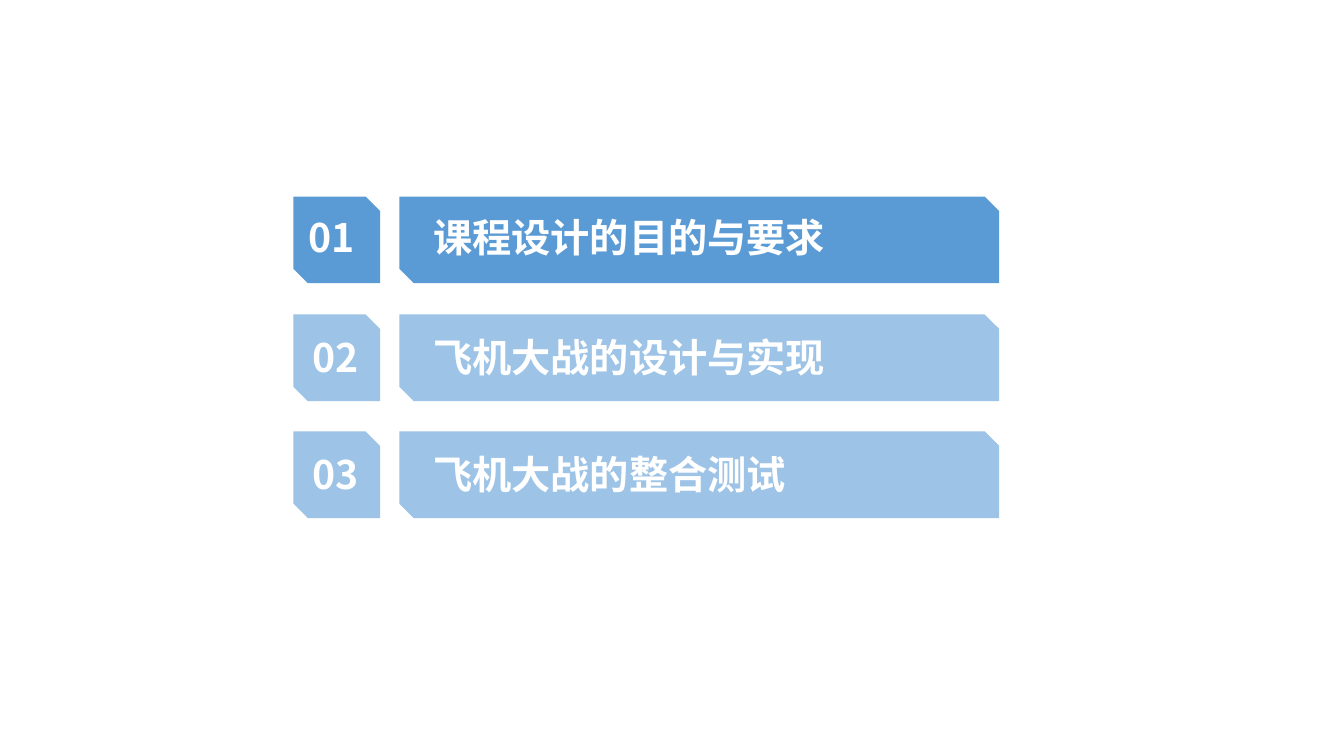
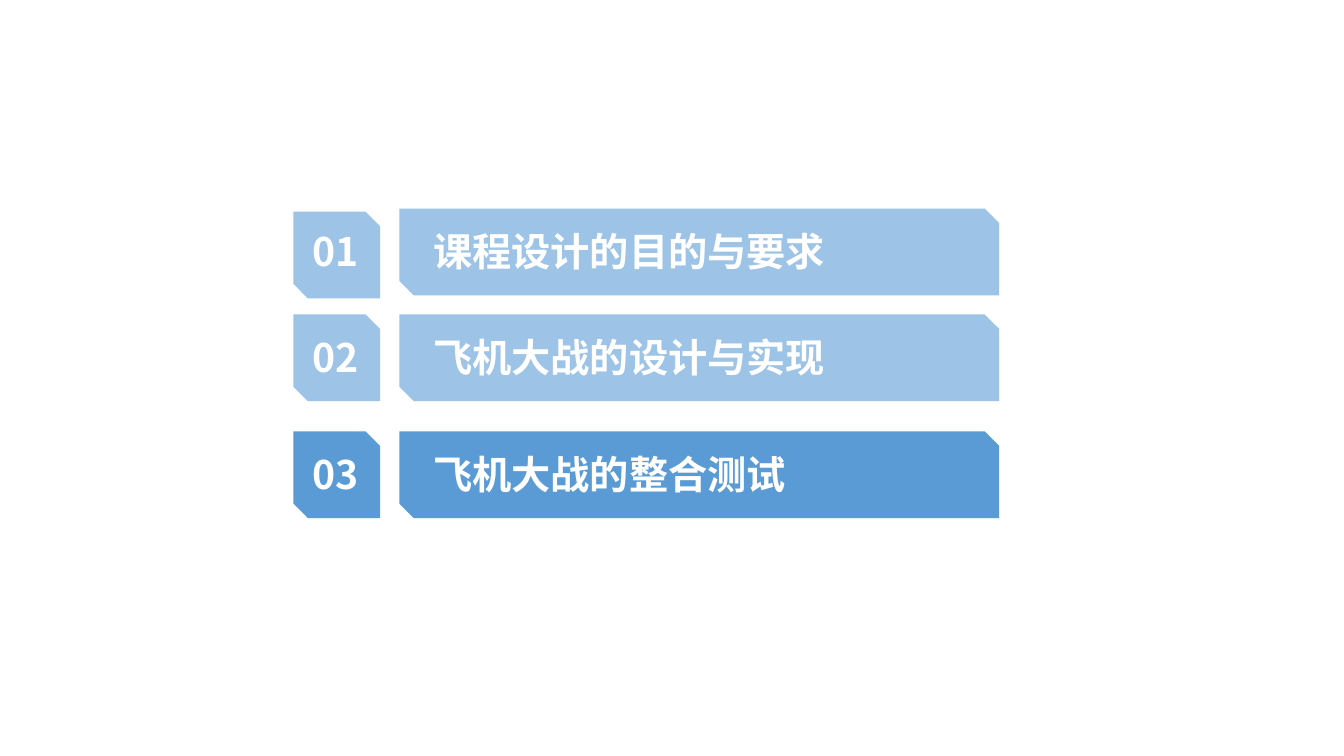
"""Build two agenda slides, each highlighting the current chapter."""
from dataclasses import dataclass, replace

from lxml import etree
from pptx import Presentation
from pptx import util as u
from pptx.dml.color import RGBColor
from pptx.enum import shapes, text
from pptx.oxml.ns import qn

PX = 9144
SLIDE_WIDTH, SLIDE_HEIGHT = 1333, 750
FONT = "Noto Sans CJK SC"
ACTIVE = RGBColor(0x5B, 0x9B, 0xD5)
INACTIVE = RGBColor(0x9D, 0xC3, 0xE6)
WHITE = RGBColor(0xFF, 0xFF, 0xFF)

BADGE_LEFT, BAR_LEFT, TITLE_LEFT = 291, 396, 420
ROW_HEIGHT, BAR_WIDTH = 86, 595
NUMBER_WIDTH, TEXT_HEIGHT = 68, 57
CHARACTER_WIDTH, TEXT_MARGINS = 39, 19


@dataclass(frozen=True)
class Row:
    """A chapter title and the places of its parts."""

    title: str
    badge_top: int
    bar_top: int
    text_top: int
    number_left: int = 300


FIRST = Row("课程设计的目的与要求", 210, 207, 221)
FIRST_ACTIVE = replace(FIRST, badge_top=195, bar_top=195, text_top=207, number_left=296)
SECOND = Row("飞机大战的设计与实现", 312, 312, 326)
THIRD = Row("飞机大战的整合测试", 428, 428, 442)


def px(*lengths):
    """Turn px lengths into EMU."""
    return [u.Emu(length * PX) for length in lengths]


def add_panel(slide, left, top, width, color):
    """Add a flat panel with two snipped corners."""
    shape = slide.shapes.add_shape(
        shapes.MSO_SHAPE.SNIP_2_DIAG_RECTANGLE, *px(left, top, width, ROW_HEIGHT))
    shape.shadow.inherit = False
    shape.fill.solid()
    shape.fill.fore_color.rgb = color
    shape.line.fill.background()


def add_text(slide, content, left, top, width, size=28, color=WHITE, bold=True):
    """Add one line of text in a box that fits it."""
    shape = slide.shapes.add_textbox(*px(left, top, width, TEXT_HEIGHT))
    frame = shape.text_frame
    frame.word_wrap = False
    frame.auto_size = text.MSO_AUTO_SIZE.SHAPE_TO_FIT_TEXT
    run = frame.paragraphs[0].add_run()
    run.text = content
    font = run.font
    font.name, font.size, font.bold = FONT, u.Pt(size), bold
    font.color.rgb = color
    properties = run._r.get_or_add_rPr()
    etree.SubElement(properties, qn("a:ea"), typeface=FONT)


def add_row(slide, number, row, color):
    """Add a numbered badge and its chapter bar."""
    add_panel(slide, BADGE_LEFT, row.badge_top, ROW_HEIGHT, color)
    add_panel(slide, BAR_LEFT, row.bar_top, BAR_WIDTH, color)
    add_text(slide, f"{number:02}", row.number_left, row.text_top, NUMBER_WIDTH)
    title_width = len(row.title) * CHARACTER_WIDTH + TEXT_MARGINS
    add_text(slide, row.title, TITLE_LEFT, row.text_top, title_width)


def add_agenda(presentation, rows, current):
    """Add an agenda slide with the current chapter highlighted."""
    slide = presentation.slides.add_slide(presentation.slide_layouts.get_by_name("Blank"))
    for number, row in enumerate(rows, start=1):
        add_row(slide, number, row, ACTIVE if number == current else INACTIVE)


def main():
    """Build and save the presentation."""
    presentation = Presentation()
    presentation.slide_width, presentation.slide_height = px(SLIDE_WIDTH, SLIDE_HEIGHT)
    add_agenda(presentation, (FIRST_ACTIVE, SECOND, THIRD), current=1)
    add_agenda(presentation, (FIRST, SECOND, THIRD), current=3)
    presentation.save("out.pptx")


if __name__ == "__main__":
    main()
